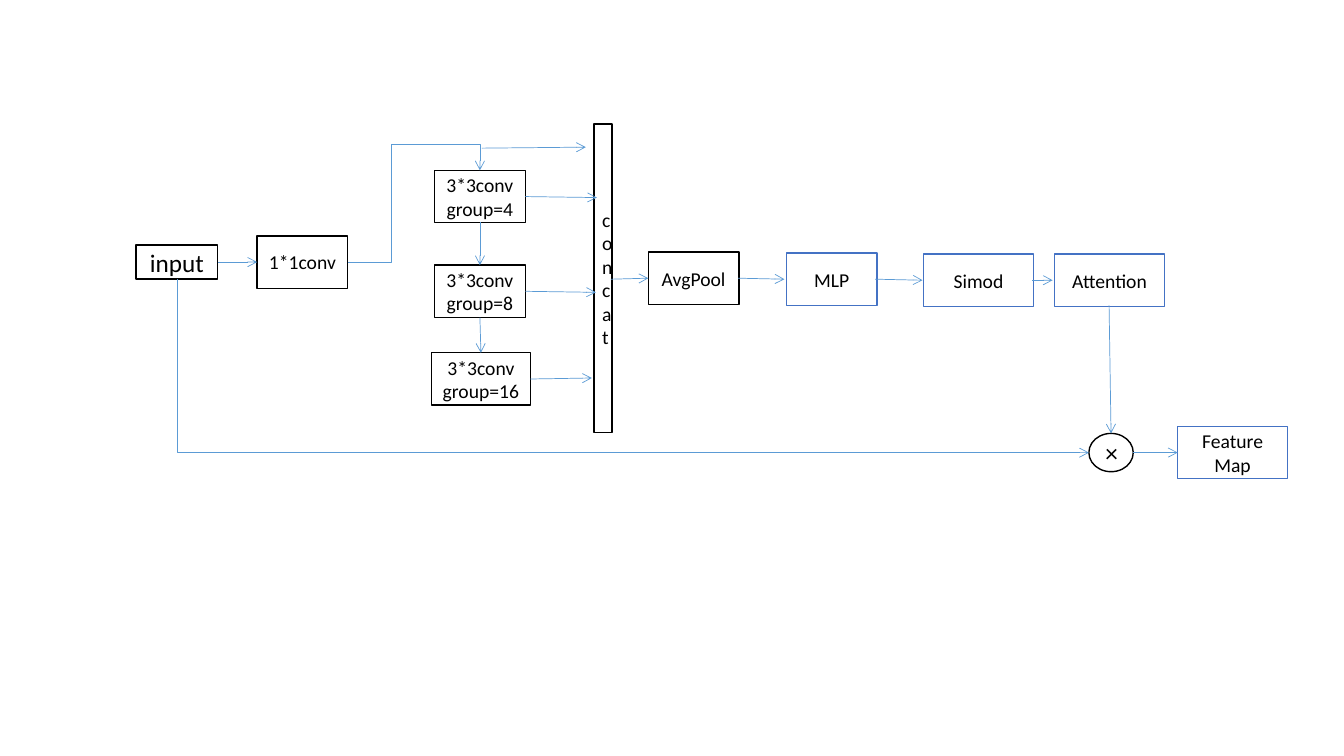
from lxml.etree import SubElement
from pptx import Presentation
from pptx.dml.color import RGBColor
from pptx.enum.shapes import MSO_CONNECTOR, MSO_SHAPE
from pptx.enum.text import MSO_ANCHOR, PP_ALIGN
from pptx.oxml.ns import qn
from pptx.util import Emu, Pt

PX = 9144  # 100 px to the inch
THEME = {
    "font": "Calibri",
    "text": RGBColor(0x00, 0x00, 0x00),
    "fill": RGBColor(0xFF, 0xFF, 0xFF),
    "black": RGBColor(0x00, 0x00, 0x00),
    "blue": RGBColor(0x44, 0x72, 0xC4),
    "arrow": RGBColor(0x5B, 0x9B, 0xD5),
    "large": Pt(18),
    "normal": Pt(14),
    "outline": Pt(1),
    "arrow_width": Pt(0.5),
}

presentation = Presentation()
presentation.slide_width = Emu(1333 * PX)
presentation.slide_height = Emu(750 * PX)
slide = presentation.slides.add_slide(presentation.slide_layouts[6])


def add_node(text, left, top, width, height=52, line="black", size="normal",
             kind=MSO_SHAPE.RECTANGLE):
    shape = slide.shapes.add_shape(
        kind, *(Emu(length * PX) for length in (left, top, width, height)))
    shape.shadow.inherit = False
    shape.fill.solid()
    shape.fill.fore_color.rgb = THEME["fill"]
    shape.line.color.rgb = THEME[line]
    shape.line.width = THEME["outline"]
    text_frame = shape.text_frame
    text_frame.word_wrap = True
    text_frame.vertical_anchor = MSO_ANCHOR.MIDDLE
    text_frame.text = text
    for paragraph in text_frame.paragraphs:
        paragraph.alignment = PP_ALIGN.CENTER
        for run in paragraph.runs:
            run.font.name = THEME["font"]
            run.font.size = THEME[size]
            run.font.color.rgb = THEME["text"]


def add_arrow(*ends, kind=MSO_CONNECTOR.STRAIGHT):
    connector = slide.shapes.add_connector(
        kind, *(Emu(length * PX) for length in ends))
    connector.line.color.rgb = THEME["arrow"]
    connector.line.width = THEME["arrow_width"]
    properties = connector._element.spPr
    SubElement(properties.find(qn("a:ln")), qn("a:tailEnd"), type="arrow")
    SubElement(properties, qn("a:effectLst"))
    return properties


# Input and first convolution
add_node("input", 135, 243, 81, 34, size="large")
add_node("1*1conv", 255, 234, 90)

# Grouped convolutions, joined by concat
for groups, left, top, width in [(4, 431, 169, 90), (8, 431, 263, 90),
                                 (16, 428, 350, 98)]:
    add_node(f"3*3conv\ngroup={groups}", left, top, width)
add_node("concat", 589, 123, 18, 306)

# Attention branch
for name, left, top, width, line in [
    ("AvgPool", 643, 250, 90, "black"),
    ("MLP", 780, 251, 90, "blue"),
    ("Simod", 916, 252, 109, "blue"),
    ("Attention", 1046, 252, 109, "blue"),
]:
    add_node(name, left, top, width, line=line)

# Product and result
add_node("×", 1080, 430, 44, 38, size="large", kind=MSO_SHAPE.OVAL)
add_node("Feature Map", 1168, 423, 109, line="blue")

# Straight arrows
for ends in [
    (216, 260, 255, 260),    # input to 1*1conv
    (476, 220, 476, 263),    # down the grouped convolutions
    (476, 315, 477, 350),
    (478, 147, 581, 146),    # into concat
    (521, 195, 592, 196),
    (521, 289, 591, 290),
    (526, 376, 587, 375),
    (606, 277, 643, 276),    # along the attention branch
    (732, 276, 778, 277),
    (868, 277, 915, 278),
    (1024, 278, 1044, 278),
    (1100, 303, 1102, 430),  # through the product
    (1124, 449, 1168, 449),
]:
    add_arrow(*ends)

# Bent arrow from 1*1conv up and over to the first group
properties = add_arrow(345, 260, 476, 169, kind=MSO_CONNECTOR.ELBOW)
geometry = properties.find(qn("a:prstGeom"))
geometry.set("prst", "bentConnector4")
adjustments = geometry.find(qn("a:avLst"))
for name, value in [("adj1", 32900), ("adj2", 128500)]:
    SubElement(adjustments, qn("a:gd"), name=name, fmla=f"val {value}")

# Bent arrow from input to the product: a frame turned by 90 degrees
start_x, start_y, end_x, end_y = 176, 277, 1080, 449
center_x, center_y = (start_x + end_x) // 2, (start_y + end_y) // 2
half_width, half_height = (end_y - start_y) // 2, (end_x - start_x) // 2
properties = add_arrow(center_x - half_width, center_y + half_height,
                       center_x + half_width, center_y - half_height,
                       kind=MSO_CONNECTOR.ELBOW)
properties.find(qn("a:prstGeom")).set("prst", "bentConnector2")
properties.find(qn("a:xfrm")).set("rot", str(90 * 60000))

presentation.save("out.pptx")
